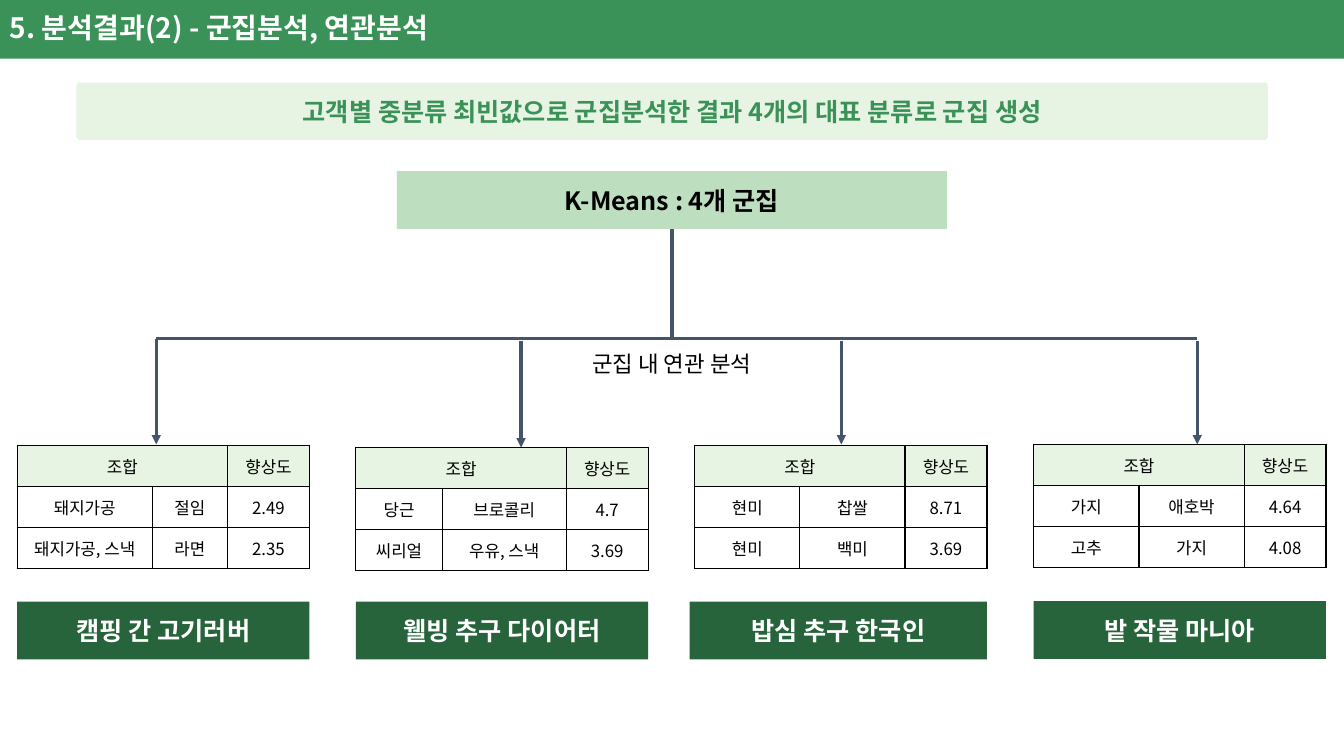
"""Build the slide on K-Means customer clusters and their association rules."""
from dataclasses import dataclass

import lxml.etree
import pptx
import pptx.dml.color
import pptx.enum.shapes
import pptx.enum.text
import pptx.oxml.ns
import pptx.util

Pt = pptx.util.Pt
qn = pptx.oxml.ns.qn
Shape = pptx.enum.shapes.MSO_SHAPE
Align = pptx.enum.text.PP_ALIGN
Anchor = pptx.enum.text.MSO_ANCHOR

TYPEFACE = "Noto Sans CJK KR"
WHITE, BLACK, SLATE = "FFFFFF", "000000", "44546A"
GREEN, PALE_GREEN, SOFT_GREEN, DARK_GREEN = "3A9258", "E7F4E3", "BDDFC0", "27633B"
LIFT_WIDTH, ROW_HEIGHT = 58.5, 29.3
BRANCH_Y = 241.9


@dataclass
class Banner:
    text: str
    left: float
    top: float
    width: float
    height: float
    fill: str | None
    color: str
    size: float = 18
    bold: bool = True
    align: Align = Align.CENTER
    bottom_inset: float = 0
    corner: float | None = None


@dataclass
class Cluster:
    name: str
    left: float
    table_top: float
    item_widths: tuple[float, float]
    rules: list[tuple[str, str, str]]
    arrow_x: float
    arrow_top: float = 243.4
    arrow_end: float = 317.5
    name_left: float | None = None
    name_width: float = 208.8
    name_top: float = 429.8


BANNERS = [
    Banner("5. 분석결과(2) - 군집분석, 연관분석", 0, 0, 960, 42, GREEN, WHITE,
           size=20, align=Align.LEFT, bottom_inset=3.6),
    Banner("고객별 중분류 최빈값으로 군집분석한 결과 4개의 대표 분류로 군집 생성",
           54.6, 59, 851, 41, PALE_GREEN, GREEN, corner=0.056),
    Banner("K-Means : 4개 군집", 283.5, 122.2, 393, 41.3, SOFT_GREEN, BLACK),
    Banner("군집 내 연관 분석", 398.2, 242.6, 163.4, 34, None, BLACK, size=16, bold=False),
]

CLUSTERS = [
    Cluster("캠핑 간 고기러버", 12.3, 318.2, (96.5, 53.8),
            [("돼지가공", "절임", "2.49"), ("돼지가공, 스낵", "라면", "2.35")],
            111.6, arrow_top=BRANCH_Y),
    Cluster("웰빙 추구 다이어터", 254.2, 319.6, (61.7, 88.6),
            [("당근", "브로콜리", "4.7"), ("씨리얼", "우유, 스낵", "3.69")],
            372.2, arrow_end=319.6),
    Cluster("밥심 추구 한국인", 496.2, 318.2, (75.15, 75.15),
            [("현미", "찹쌀", "8.71"), ("현미", "백미", "3.69")],
            601, name_left=492.6, name_width=212.4),
    Cluster("밭 작물 마니아", 738.4, 317.5, (75.15, 75.15),
            [("가지", "애호박", "4.64"), ("고추", "가지", "4.08")],
            855.2, name_top=429.3),
]


def rgb(value: str) -> pptx.dml.color.RGBColor:
    """Turn a hex string into a colour."""
    return pptx.dml.color.RGBColor.from_string(value)


def apply(target, values: dict) -> None:
    """Set every named attribute on the target."""
    for name, value in values.items():
        setattr(target, name, value)


def write(frame, text: str, size: float, color: str, bold: bool, align: Align) -> None:
    """Write one styled paragraph into a text frame."""
    paragraph = frame.paragraphs[0]
    paragraph.alignment = align
    run = paragraph.add_run()
    run.text = text
    apply(run.font, {"name": TYPEFACE, "size": Pt(size), "bold": bold})
    run.font.color.rgb = rgb(color)
    east_asian = lxml.etree.SubElement(run.font._element, qn("a:ea"))
    east_asian.set("typeface", TYPEFACE)


def draw_banner(slide, banner: Banner) -> None:
    """Draw a filled band, or plain text when it has no fill."""
    bounds = [Pt(v) for v in (banner.left, banner.top, banner.width, banner.height)]
    if banner.fill is None:
        band = slide.shapes.add_textbox(*bounds)
    else:
        outline = Shape.RECTANGLE if banner.corner is None else Shape.ROUNDED_RECTANGLE
        band = slide.shapes.add_shape(outline, *bounds)
        band.shadow.inherit = False
        band.fill.solid()
        band.fill.fore_color.rgb = rgb(banner.fill)
        band.line.fill.background()
        if banner.corner is not None:
            band.adjustments[0] = banner.corner
    apply(band.text_frame, {
        "word_wrap": True, "vertical_anchor": Anchor.MIDDLE,
        "margin_left": Pt(7.2), "margin_right": Pt(7.2),
        "margin_top": Pt(0), "margin_bottom": Pt(banner.bottom_inset),
    })
    write(band.text_frame, banner.text, banner.size, banner.color, banner.bold, banner.align)


def draw_line(slide, start: tuple[float, float], end: tuple[float, float],
              arrow: bool = False) -> None:
    """Draw a straight branch of the tree."""
    branch = slide.shapes.add_connector(
        pptx.enum.shapes.MSO_CONNECTOR.STRAIGHT, *(Pt(v) for v in start + end))
    branch.line.width = Pt(2.25)
    branch.line.color.rgb = rgb(SLATE)
    if arrow:
        head = lxml.etree.SubElement(branch.line._get_or_add_ln(), qn("a:tailEnd"))
        head.set("type", "triangle")
    lxml.etree.SubElement(branch._element.spPr, qn("a:effectLst"))


def draw_borders(cell) -> None:
    """Give a cell a thin black border on each side."""
    properties = cell._tc.get_or_add_tcPr()
    for side in ("lnL", "lnR", "lnT", "lnB"):
        border = lxml.etree.SubElement(properties, qn(f"a:{side}"), w=str(Pt(1)))
        fill = lxml.etree.SubElement(border, qn("a:solidFill"))
        lxml.etree.SubElement(fill, qn("a:srgbClr"), val=BLACK)


def draw_rules(slide, cluster: Cluster) -> None:
    """Draw the table of item combinations and their lift."""
    rows = [("조합", "", "향상도"), *cluster.rules]
    widths = (*cluster.item_widths, LIFT_WIDTH)
    rules = slide.shapes.add_table(
        len(rows), len(widths), Pt(cluster.left), Pt(cluster.table_top),
        Pt(sum(widths)), Pt(ROW_HEIGHT * len(rows))).table
    apply(rules, {"first_row": False, "horz_banding": False})
    for column, width in zip(rules.columns, widths):
        column.width = Pt(width)
    for r, texts in enumerate(rows):
        rules.rows[r].height = Pt(ROW_HEIGHT)
        for c, text in enumerate(texts):
            cell = rules.cell(r, c)
            cell.vertical_anchor = Anchor.MIDDLE
            draw_borders(cell)
            if r == 0:
                cell.fill.solid()
                cell.fill.fore_color.rgb = rgb(PALE_GREEN)
            else:
                cell.fill.background()
            if text:
                write(cell.text_frame, text, 12, BLACK, False, Align.CENTER)
    rules.cell(0, 0).merge(rules.cell(0, 1))


def draw_cluster(slide, cluster: Cluster) -> None:
    """Draw a cluster's arrow, rules and name."""
    draw_line(slide, (cluster.arrow_x, cluster.arrow_top),
              (cluster.arrow_x, cluster.arrow_end), arrow=True)
    draw_rules(slide, cluster)
    left = cluster.left if cluster.name_left is None else cluster.name_left
    draw_banner(slide, Banner(cluster.name, left, cluster.name_top, cluster.name_width,
                              41.3, DARK_GREEN, WHITE))


def main() -> None:
    """Build and save the slide."""
    deck = pptx.Presentation()
    apply(deck, {"slide_width": Pt(960), "slide_height": Pt(540)})
    slide = deck.slides.add_slide(deck.slide_layouts[6])
    for banner in BANNERS:
        draw_banner(slide, banner)
    draw_line(slide, (480, 163.5), (480, 240.5))
    draw_line(slide, (CLUSTERS[-1].arrow_x, BRANCH_Y), (CLUSTERS[0].arrow_x, BRANCH_Y))
    for cluster in CLUSTERS:
        draw_cluster(slide, cluster)
    deck.save("out.pptx")


if __name__ == "__main__":
    main()
